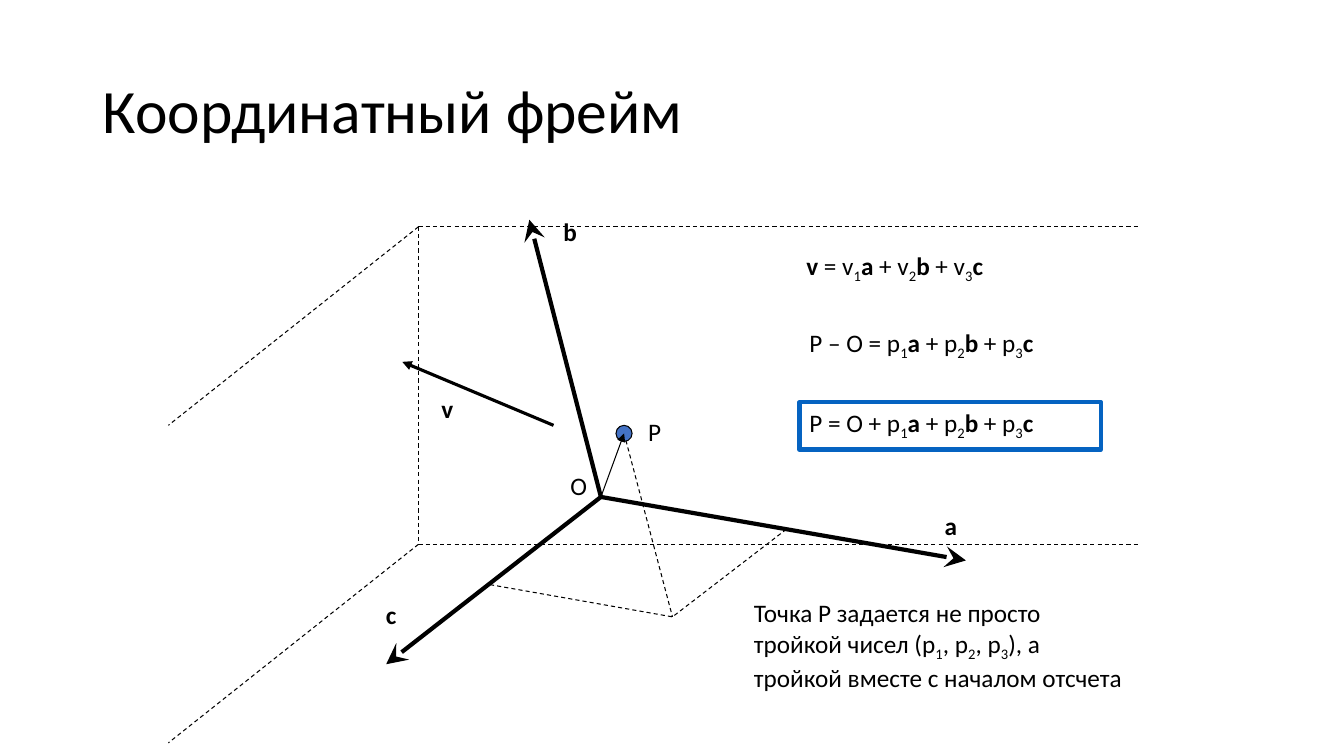
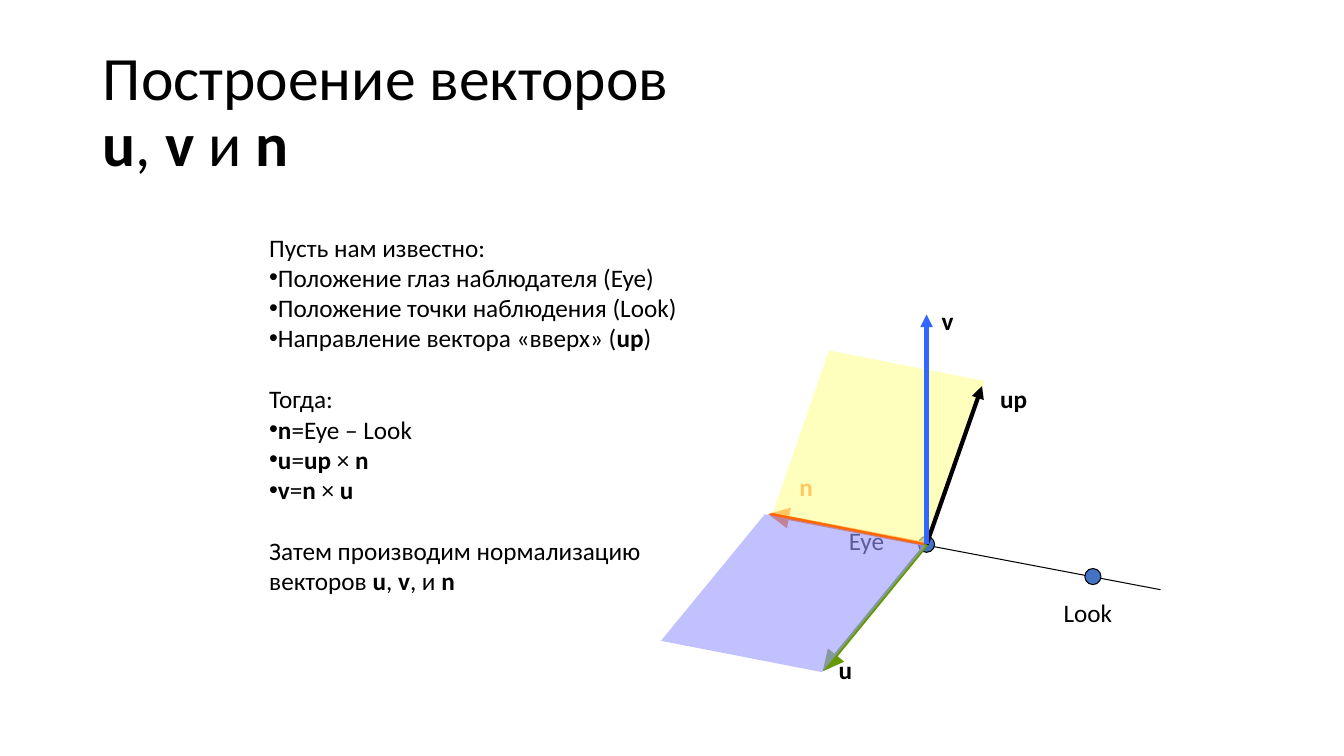
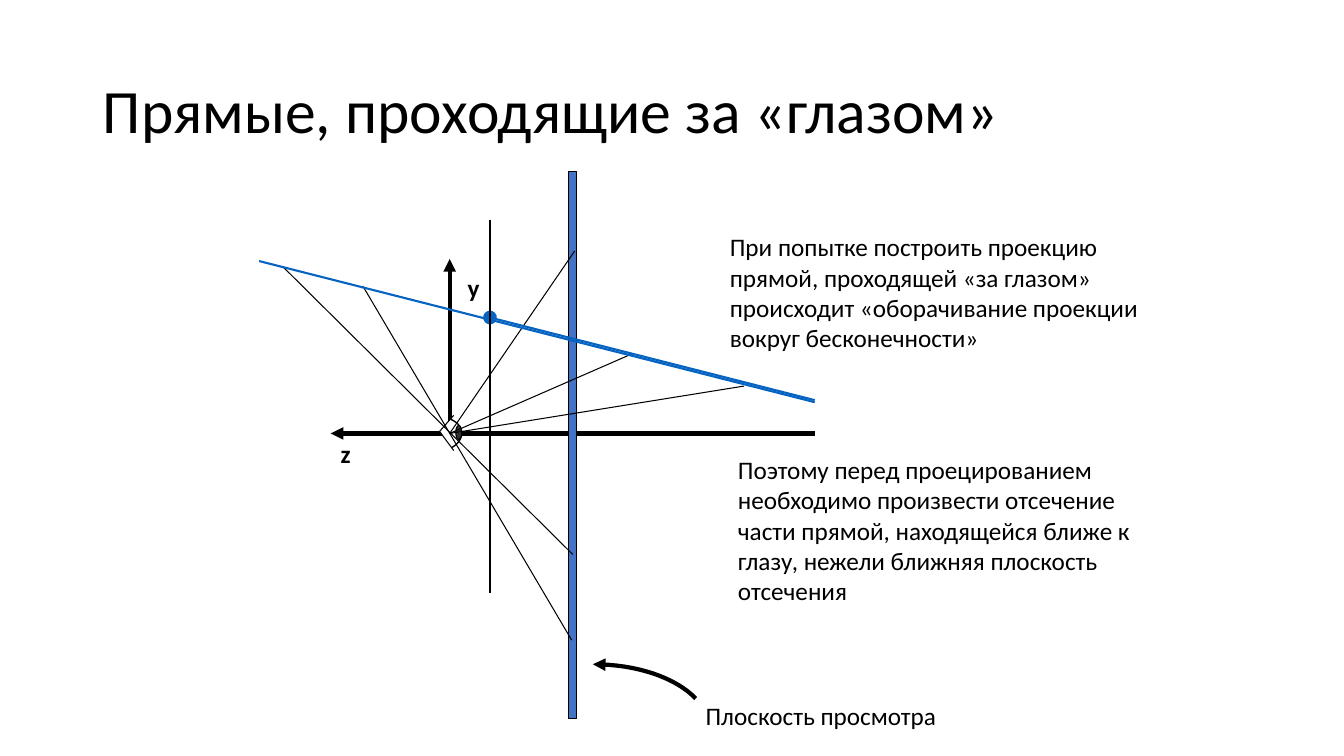
from lxml import etree
from pptx import Presentation
from pptx.dml.color import RGBColor
from pptx.enum.dml import MSO_LINE
from pptx.enum.shapes import MSO_CONNECTOR, MSO_SHAPE
from pptx.enum.text import MSO_ANCHOR, MSO_AUTO_SIZE, PP_ALIGN
from pptx.oxml.ns import qn
from pptx.util import Inches, Pt

STRAIGHT = MSO_CONNECTOR.STRAIGHT
DASH = MSO_LINE.DASH
ELLIPSE = MSO_SHAPE.OVAL
RECTANGLE = MSO_SHAPE.RECTANGLE
PARALLELOGRAM = MSO_SHAPE.PARALLELOGRAM
LEFT = PP_ALIGN.LEFT
MIDDLE = MSO_ANCHOR.MIDDLE
GROW = MSO_AUTO_SIZE.SHAPE_TO_FIT_TEXT
FIXED = MSO_AUTO_SIZE.NONE

BLACK = RGBColor(0, 0, 0)
WHITE = RGBColor(255, 255, 255)
BLUE = RGBColor(0x44, 0x72, 0xC4)
LINK_BLUE = RGBColor(0x05, 0x63, 0xC1)
BRIGHT_BLUE = RGBColor(0x33, 0x66, 0xFF)
ORANGE = RGBColor(0xFF, 0x66, 0x00)
GREEN = RGBColor(0x66, 0x99, 0x00)
YELLOW = RGBColor(0xFF, 0xFF, 0x99)
LILAC = RGBColor(0x99, 0x99, 0xFF)
DARK = RGBColor(0x33, 0x33, 0x33)

FONT = "Calibri"
TITLE_SIZE, TEXT_SIZE = 44, 18
TITLE_BOX = (0.92, 0.4, 11.5, 1.45)
THIN, THICK = 0.75, 3
DOT = 0.16
LINE_HEIGHT = 22
TITLE_ONLY, TITLE_AND_BODY = 5, 1


# Text: *bold*, ~subscript~, \n for a line break
def write(paragraph, marked, size=TEXT_SIZE, color=BLACK):
    bold = lowered = False
    piece = ""

    def flush():
        if not piece:
            return
        run = paragraph.add_run()
        run.text = piece
        run.font.name, run.font.size = FONT, Pt(size)
        run.font.color.rgb, run.font.bold = color, bold
        if lowered:
            run.font._element.set("baseline", "-25000")

    for char in marked:
        if char not in "*~\n":
            piece += char
            continue
        flush()
        piece = ""
        if char == "*":
            bold = not bold
        elif char == "~":
            lowered = not lowered
        else:
            paragraph.add_line_break()
    flush()


def place(shape, box):
    shape.left, shape.top, shape.width, shape.height = map(Inches, box)


def add_text(shapes, box, marked, color=BLACK, wrap=False):
    frame = shapes.add_textbox(*map(Inches, box)).text_frame
    frame.word_wrap = wrap
    frame.auto_size = GROW
    write(frame.paragraphs[0], marked, color=color)


def add_label(shapes, left, top, marked, width=0.35, color=BLACK):
    add_text(shapes, (left, top, width, 0.4), marked, color)


def add_title_slide(prs, layout, title):
    slide = prs.slides.add_slide(prs.slide_layouts[layout])
    place(slide.shapes.title, TITLE_BOX)
    frame = slide.shapes.title.text_frame
    frame.auto_size, frame.vertical_anchor = FIXED, MIDDLE
    heading = frame.paragraphs[0]
    heading.alignment, heading.line_spacing = LEFT, 0.9
    write(heading, title, TITLE_SIZE)
    return slide


def fill_list(body, box, sections):
    """Each section is a lead line followed by bulleted lines."""
    place(body, box)
    frame = body.text_frame
    frame.auto_size = FIXED
    paragraph = None
    for number, section in enumerate(sections):
        for row, line in enumerate(section):
            paragraph = frame.add_paragraph() if paragraph else frame.paragraphs[0]
            properties = paragraph._p.get_or_add_pPr()
            properties.set("marL", "0")
            properties.set("indent", "0")
            if row:
                etree.SubElement(properties, qn("a:buChar")).set("char", "•")
            else:
                etree.SubElement(properties, qn("a:buNone"))
            paragraph.space_before = Pt(LINE_HEIGHT if number and not row else 0)
            write(paragraph, line)


# Lines and shapes
def style_line(shape, color, width, head=None, tail=None, size="med"):
    shape.line.color.rgb = color
    shape.line.width = Pt(width)
    for tag, kind in (("a:headEnd", head), ("a:tailEnd", tail)):
        if kind:
            end = etree.SubElement(shape.get_or_add_ln(), qn(tag))
            end.set("type", kind)
            end.set("w", size)
            end.set("len", size)


def add_line(shapes, start, end, color=BLACK, width=THIN, dashed=False, **ends):
    line = shapes.add_connector(STRAIGHT, *map(Inches, start + end))
    if dashed:
        line.line.dash_style = DASH
    style_line(line, color, width, **ends)
    etree.SubElement(line._element.spPr, qn("a:effectLst"))


def add_arrow(shapes, start, end, color=BLACK, width=THICK, tail="triangle", size="med"):
    add_line(shapes, start, end, color, width, tail=tail, size=size)


def paint(shape, fill=None, outline=None, width=THIN, **ends):
    shape.shadow.inherit = False
    if fill is None:
        shape.fill.background()
    else:
        shape.fill.solid()
        shape.fill.fore_color.rgb = fill
    if outline is None:
        shape.line.fill.background()
    else:
        style_line(shape, outline, width, **ends)


def add_figure(shapes, kind, box, fill=None, outline=BLACK, width=THIN):
    figure = shapes.add_shape(kind, *map(Inches, box))
    paint(figure, fill, outline, width)
    return figure


def add_dot(shapes, center):
    x, y = center
    add_figure(shapes, ELLIPSE, (x - DOT / 2, y - DOT / 2, DOT, DOT), BLUE)


def add_plane(shapes, box, slant, angle, color, opacity):
    plane = add_figure(shapes, PARALLELOGRAM, box, color, None)
    plane.adjustments[0] = slant
    plane.rotation = angle
    tint = plane.fill._xPr.find(".//" + qn("a:srgbClr"))
    etree.SubElement(tint, qn("a:alpha")).set("val", str(opacity * 1000))


def bezier(p0, p1, p2, p3, steps=16):
    points = []
    for step in range(steps + 1):
        t = step / steps
        s = 1 - t
        weights = (s ** 3, 3 * s * s * t, 3 * s * t * t, t ** 3)
        points.append(tuple(sum(w * p[axis] for w, p in zip(weights, (p0, p1, p2, p3)))
                            for axis in (0, 1)))
    return points


def add_path(shapes, points, closed=False, **look):
    corners = [(Inches(x), Inches(y)) for x, y in points]
    builder = shapes.build_freeform(*corners[0])
    builder.add_line_segments(corners[1:], close=closed)
    paint(builder.convert_to_shape(), **look)


# Slides
def build_frame_slide(prs):
    shapes = add_title_slide(prs, TITLE_ONLY, "Координатный фрейм").shapes
    origin, point, shadow = (5.96, 4.93), (6.19, 4.3), (6.67, 6.12)
    top_corner, bottom_corner = (4.15, 2.25), (4.15, 5.4)

    # Room edges and projection of P
    for x, y in (top_corner, bottom_corner):
        add_line(shapes, (x, y), (11.31, y), dashed=True)
        add_line(shapes, (x, y), (1.67, y + 1.97), dashed=True)
    add_line(shapes, top_corner, bottom_corner, dashed=True)
    for start in ((4.86, 5.8), (7.8, 5.25), point):
        add_line(shapes, start, shadow, dashed=True)

    # Axes, vector and point
    for tip in ((5.25, 2.18), (3.83, 6.59), (9.58, 5.56)):
        add_arrow(shapes, origin, tip, tail="stealth", size="lg")
    add_arrow(shapes, (5.49, 4.22), (3.99, 3.59), width=2.25)
    add_dot(shapes, point)
    add_arrow(shapes, origin, point, width=THIN)
    for left, top, name in ((3.73, 5.9, "*с*"), (9.27, 5.01, "*a*"), (5.49, 2.1, "*b*"),
                            (6.33, 4.08, "P"), (4.28, 3.85, "*v*"), (5.56, 4.62, "O")):
        add_label(shapes, left, top, name)

    # Formulas
    add_label(shapes, 7.9, 2.43, "*v* = v~1~*a *+ v~2~*b *+ v~3~*c*", 2.44)
    for top, left_side, width in ((3.2, "P – O = ", 2.94), (3.99, "P = О + ", 3)):
        add_label(shapes, 7.93, top, left_side + "p~1~*a *+ p~2~*b *+ p~3~*c*", width)
    add_figure(shapes, RECTANGLE, (7.93, 3.99, 2.99, 0.47), None, LINK_BLUE, THICK)
    add_text(shapes, (7.38, 5.88, 3.96, 1.3),
             "Точка P задается не просто тройкой чисел (p~1~, p~2~, p~3~), "
             "а тройкой вместе с началом отсчета", wrap=True)


def build_vectors_slide(prs):
    slide = add_title_slide(prs, TITLE_AND_BODY, "Построение векторов \n*u*, *v *и *n*")
    shapes = slide.shapes
    fill_list(slide.placeholders[1], (2.57, 2.25, 4.73, 4.01), (
        ("Пусть нам известно:", "Положение глаз наблюдателя (Eye)",
         "Положение точки наблюдения (Look)", "Направление вектора «вверх» (*up*)"),
        ("Тогда:", "*n*=Eye – Look", "*u*=*up *× *n*", "*v*=*n *× *u*"),
        ("Затем производим нормализацию векторов *u*, *v*, и *n*",),
    ))

    # Line of sight
    eye, look = (9.19, 5.4), (10.84, 5.72)
    add_line(shapes, (11.51, 5.85), (7.93, 5.17))
    add_label(shapes, 8.32, 5.16, "Eye", 0.6)
    add_label(shapes, 10.45, 5.88, "Look", 0.72)
    add_dot(shapes, eye)
    add_dot(shapes, look)

    # Vectors, partly covered by the translucent planes
    add_arrow(shapes, eye, (7.62, 5.1), ORANGE, size="lg")
    add_label(shapes, 7.83, 4.63, "*n*", color=ORANGE)
    add_arrow(shapes, eye, (8.16, 6.66), GREEN, size="lg")
    add_plane(shapes, (7.81, 3.59, 1.81, 1.69), 0.14, 11.1, YELLOW, 64)
    add_label(shapes, 8.22, 6.44, "*u*")
    add_arrow(shapes, eye, (9.74, 3.83))
    add_label(shapes, 9.82, 3.75, "*up*", 0.52)
    add_arrow(shapes, eye, (9.19, 3.12), BRIGHT_BLUE)
    add_label(shapes, 9.24, 2.98, "*v*")
    add_plane(shapes, (6.67, 5.17, 2.4, 1.43), 0.54, 11, LILAC, 60)


def add_eye(shapes):
    eye = shapes.add_group_shape().shapes
    corner = (4.36, 4.28)
    front = (bezier((4.47, 4.16), (4.54, 4.19), (4.58, 4.24), (4.58, 4.3))
             + bezier((4.58, 4.3), (4.58, 4.35), (4.54, 4.41), (4.48, 4.44))[1:])
    add_path(eye, front + [corner], closed=True, fill=WHITE)
    add_path(eye, front, outline=BLACK, width=1)
    add_figure(eye, ELLIPSE, (4.52, 4.22, 0.06, 0.14), DARK)
    for lid_y in (4.12, 4.47):
        add_line(eye, (4.5, lid_y), corner)


def build_lines_slide(prs):
    shapes = add_title_slide(prs, TITLE_ONLY, "Прямые, проходящие за «глазом»").shapes
    eye = (4.46, 4.3)

    # Axes, eye and view plane
    add_arrow(shapes, (8.08, 4.3), (3.28, 4.3))
    add_arrow(shapes, eye, (4.46, 2.57))
    add_eye(shapes)
    add_figure(shapes, RECTANGLE, (5.64, 1.7, 0.08, 5.43), BLUE)

    # Projection rays
    for tip in ((6.27, 3.51), (7.38, 3.83), (5.7, 2.49)):
        add_line(shapes, eye, tip)
    add_line(shapes, (3.6, 2.84), (5.67, 6.35))
    add_line(shapes, (2.81, 2.65), (5.68, 5.5))
    add_label(shapes, 3.28, 4.3, "*z*")
    add_label(shapes, 4.54, 2.65, "*y*")

    # Projected line and near clipping plane
    add_line(shapes, (2.57, 2.59), (8.08, 3.99), LINK_BLUE, 1.5)
    add_line(shapes, (4.86, 3.15), (8.08, 3.97), LINK_BLUE, 1.5, head="oval", size="lg")
    add_line(shapes, (4.86, 2.18), (4.86, 5.88))

    # Explanations
    add_text(shapes, (7.14, 2.25, 4.25, 1.3),
             "При попытке построить проекцию прямой, проходящей «за глазом» "
             "происходит «оборачивание проекции вокруг бесконечности»", wrap=True)
    add_text(shapes, (7.22, 4.46, 4.45, 1.6),
             "Поэтому перед проецированием необходимо произвести отсечение части прямой, "
             "находящейся ближе к глазу, нежели ближняя плоскость отсечения", wrap=True)
    add_label(shapes, 6.9, 6.9, "Плоскость просмотра", 2.73)
    add_path(shapes, bezier((5.88, 6.59), (6.31, 6.59), (6.7, 6.72), (6.9, 6.93)),
             outline=BLACK, width=THICK, head="triangle")


def main():
    prs = Presentation()
    prs.slide_width, prs.slide_height = Inches(13.33), Inches(7.5)
    build_frame_slide(prs)
    build_vectors_slide(prs)
    build_lines_slide(prs)
    prs.save("out.pptx")


if __name__ == "__main__":
    main()
